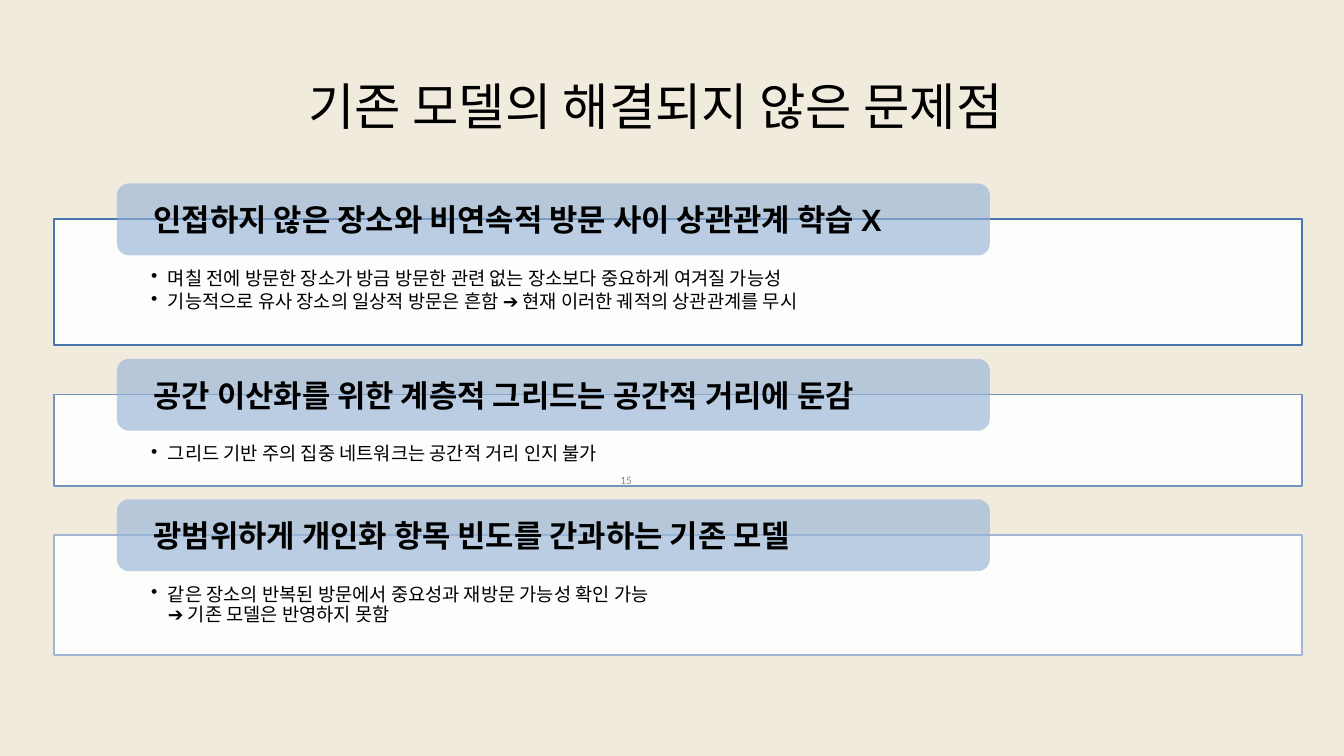
from lxml import etree
from pptx import Presentation
from pptx.dml.color import RGBColor
from pptx.enum.shapes import MSO_SHAPE as Shape
from pptx.enum.text import MSO_ANCHOR as Anchor, PP_ALIGN as Align
from pptx.oxml.ns import qn
from pptx.util import Inches, Pt


def color(value):
    return RGBColor.from_string(value)


def add_panel(kind, left, top, width, height, fill, alpha, insets, anchor):
    """Add a translucent shape and return it, ready for left-aligned text."""
    shape = slide.shapes.add_shape(
        kind, Inches(left), Inches(top), Inches(width), Inches(height))
    shape.shadow.inherit = False
    shape.fill.solid()
    shape.fill.fore_color.rgb = color(fill)
    fill_color = shape.fill._xPr.find(qn("a:solidFill"))[0]
    etree.SubElement(fill_color, qn("a:alpha"), val=str(alpha * 1000))
    frame = shape.text_frame
    frame.word_wrap = True
    frame.vertical_anchor = anchor
    frame.margin_left, frame.margin_top, frame.margin_right, frame.margin_bottom = map(Inches, insets)
    return shape


presentation = Presentation()
presentation.slide_width = Inches(20)
presentation.slide_height = Inches(11.25)
slide = presentation.slides.add_slide(presentation.slide_layouts[5])
slide.background.fill.solid()
slide.background.fill.fore_color.rgb = color("F1EBDE")

# Title
title = slide.shapes.title
title.left, title.top, title.width, title.height = map(Inches, (1.45, 1.03, 16.61, 1.07))
title.text_frame.vertical_anchor = Anchor.MIDDLE
paragraph = title.text_frame.paragraphs[0]
paragraph.alignment = Align.CENTER
run = paragraph.add_run()
run.text = "기존 모델의 해결되지 않은 문제점"
run.font.name, run.font.size = "Calibri", Pt(54)
run.font.color.rgb = color("000000")

# Problems: heading, box height, outline colour, bullets (each a list of lines)
problems = [
    ("인접하지 않은 장소와 비연속적 방문 사이 상관관계 학습 X", 1.88, "4875AC", [
        ["며칠 전에 방문한 장소가 방금 방문한 관련 없는 장소보다 중요하게 여겨질 가능성"],
        ["기능적으로 유사 장소의 일상적 방문은 흔함 ➔ 현재 이러한 궤적의 상관관계를 무시"]]),
    ("공간 이산화를 위한 계층적 그리드는 공간적 거리에 둔감", 1.36, "7393C1", [
        ["그리드 기반 주의 집중 네트워크는 공간적 거리 인지 불가"]]),
    ("광범위하게 개인화 항목 빈도를 간과하는 기존 모델", 1.79, "A2B4D4", [
        ["같은 장소의 반복된 방문에서 중요성과 재방문 가능성 확인 가능",
         "➔ 기존 모델은 반영하지 못함"]]),
]
GAP = 0.73
HEADING_RISE = 0.53
top = 3.26

for heading, height, outline, bullets in problems:
    # Box with bullets
    box = add_panel(Shape.RECTANGLE, 0.81, top, 18.56, height, "FFFFFF", 90,
                    (1.44, 0.75, 1.44, 0.16), Anchor.TOP)
    box.line.color.rgb = color(outline)
    box.line.width = Pt(2)
    for index, lines in enumerate(bullets):
        frame = box.text_frame
        paragraph = frame.add_paragraph() if index else frame.paragraphs[0]
        paragraph.alignment = Align.LEFT
        paragraph.level = 1
        paragraph.line_spacing = 0.9
        paragraph.space_after = Pt(3)
        properties = paragraph._p.get_or_add_pPr()
        properties.set("marL", str(Inches(0.25)))
        properties.set("indent", str(Inches(-0.25)))
        etree.SubElement(properties, qn("a:buChar"), char="•")
        for number, line in enumerate(lines):
            if number:
                paragraph.add_line_break()
            run = paragraph.add_run()
            run.text = line
            run.font.name, run.font.size = "Calibri", Pt(20)
            run.font.color.rgb = color("000000")

    # Heading over the top edge of the box
    label = add_panel(Shape.ROUNDED_RECTANGLE, 1.74, top - HEADING_RISE, 12.99, 1.07,
                      "95B3D7", 64, (0.49, 0, 0.49, 0), Anchor.MIDDLE)
    label.line.fill.background()
    paragraph = label.text_frame.paragraphs[0]
    paragraph.alignment = Align.LEFT
    run = paragraph.add_run()
    run.text = heading
    run.font.name, run.font.size, run.font.bold = "Arial", Pt(33), True
    run.font.color.rgb = color("000000")
    top += height + GAP

# Slide number
number_box = slide.shapes.add_textbox(Inches(7.17), Inches(6.95), Inches(2.33), Inches(0.4))
number_box.text_frame.word_wrap = True
number_box.text_frame.vertical_anchor = Anchor.MIDDLE
paragraph = number_box.text_frame.paragraphs[0]
paragraph.alignment = Align.RIGHT
run = paragraph.add_run()
run.text = "15"
run.font.name, run.font.size = "Calibri", Pt(12)
run.font.color.rgb = color("8C8C8C")

presentation.save("out.pptx")
